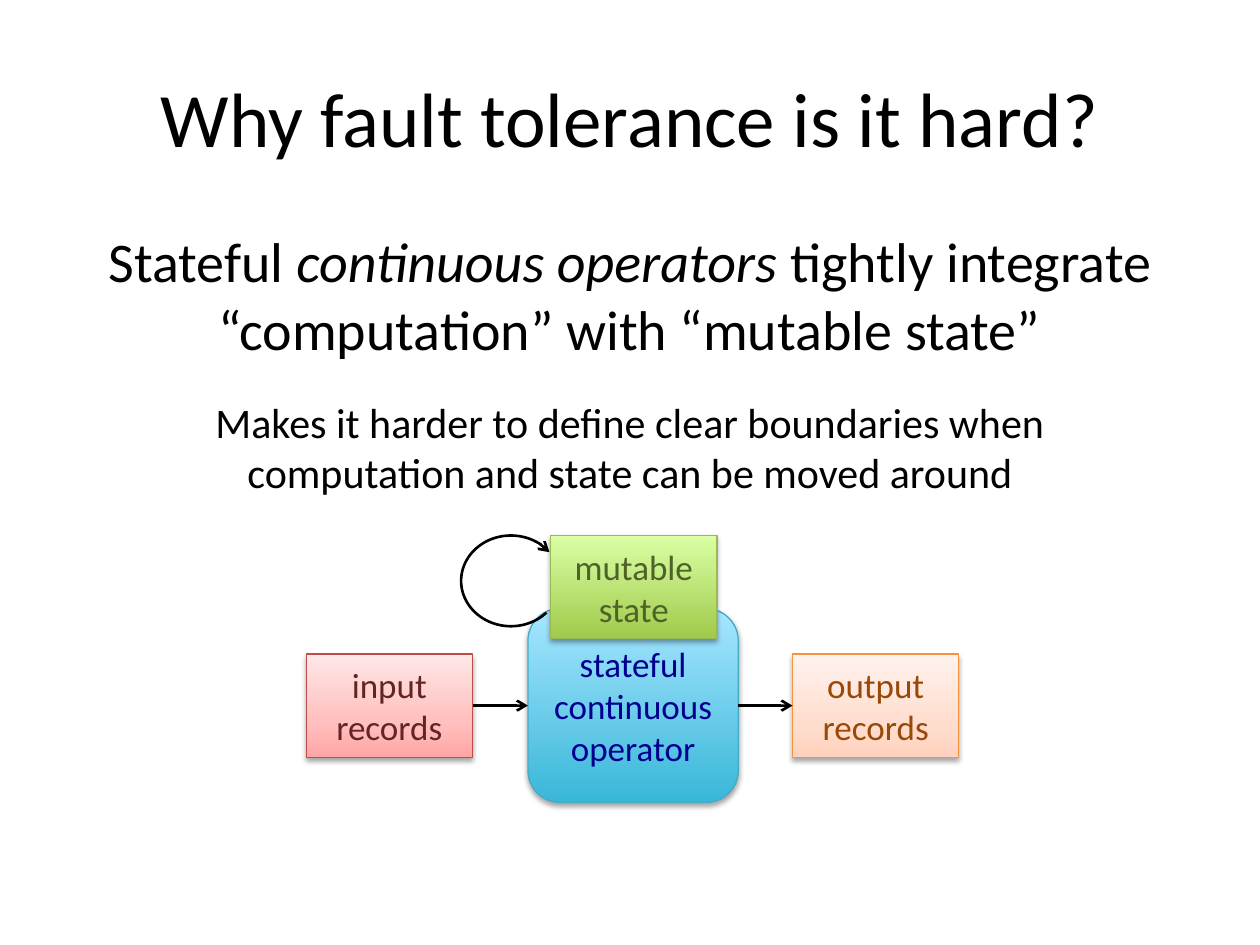
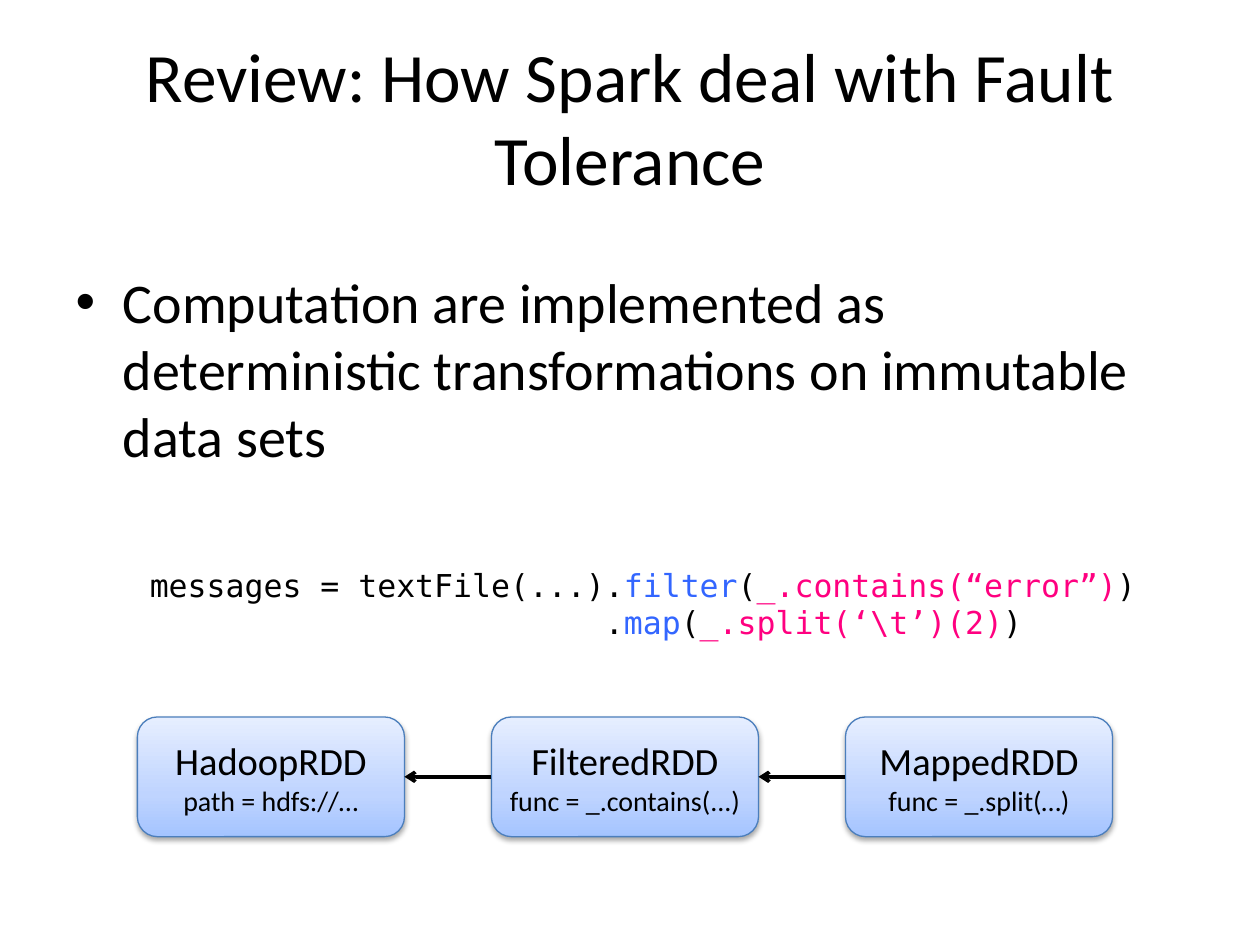
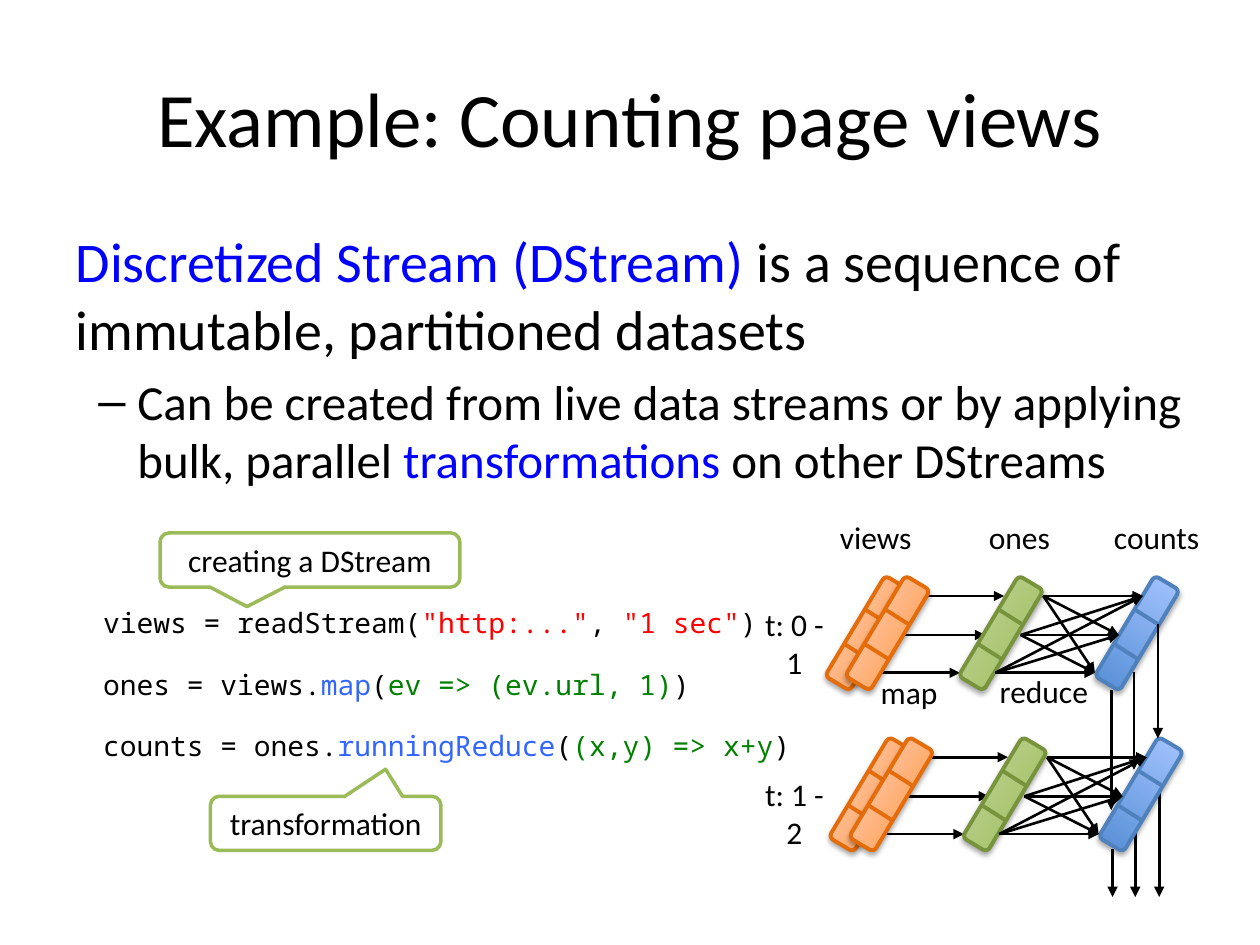
"""Build three slides on fault tolerance in stream processing."""
from itertools import product

from lxml import etree
from pptx import Presentation
from pptx.dml.color import RGBColor
from pptx.enum.shapes import MSO_CONNECTOR, MSO_SHAPE
from pptx.enum.text import MSO_AUTO_SIZE, PP_ALIGN
from pptx.oxml.ns import qn
from pptx.util import Inches, Pt

STRAIGHT = MSO_CONNECTOR.STRAIGHT
RECTANGLE = MSO_SHAPE.RECTANGLE
ROUNDED = MSO_SHAPE.ROUNDED_RECTANGLE
CALLOUT = MSO_SHAPE.ROUNDED_RECTANGULAR_CALLOUT
BAR = MSO_SHAPE.FLOWCHART_ALTERNATE_PROCESS
ARC = MSO_SHAPE.ARC
LEFT, CENTER = PP_ALIGN.LEFT, PP_ALIGN.CENTER
NO_AUTOFIT = MSO_AUTO_SIZE.NONE
TOP_SIDE, LEFT_SIDE, BOTTOM_SIDE, RIGHT_SIDE = range(4)

COLORS = {
    "black": "000000", "white": "FFFFFF", "term": "0000FF",
    "function": "3366FF", "argument": "FF0080", "string": "FF0000", "lambda": "008000",
    "operator text": "000090", "operator line": "46AAC5",
    "state text": "4F6228", "state line": "98B955",
    "input text": "632523", "input line": "BF4C48",
    "output text": "984807", "output line": "F69240",
    "rdd line": "4B7EBC", "callout line": "9BBB59",
    "views line": "E46C0A", "ones line": "77933C", "counts line": "4F81BD",
}
GRADIENTS = {
    "operator": {0: "39B7D8", 100: "A7E6FF"},
    "state": {0: "A0CA4A", 100: "DAFFA5"},
    "input": {0: "FFA6A5", 35: "FFC0BF", 100: "FFE7E7"},
    "output": {0: "FFD2BD", 35: "FFDED0", 100: "FFF2ED"},
    "rdd": {0: "A4C4FF", 35: "BFD4FF", 100: "E6EEFF"},
    "views": {0: "FF953E", 100: "FFD2BD"},
    "ones": {0: "9BBB59", 100: "C3D69B"},
    "counts": {0: "558ED5", 100: "A4C4FF"},
}


def write_text(frame, runs, size=18, color="black", font="Calibri", align=CENTER,
               before=0, level=0, margin=None, bullet=True):
    paragraph = frame.add_paragraph() if frame.text else frame.paragraphs[0]
    paragraph.alignment = align
    paragraph.level = level
    paragraph.space_before = Pt(before)
    properties = paragraph._p.get_or_add_pPr()
    if margin:
        properties.set("marL", str(Inches(margin[0])))
        properties.set("indent", str(Inches(margin[1])))
    if not bullet:
        etree.SubElement(properties, qn("a:buNone"))
    for text, run_color in [(runs, color)] if isinstance(runs, str) else runs:
        run = paragraph.add_run()
        run.text = text
        run.font.size = Pt(size)
        run.font.name = font
        run.font.color.rgb = RGBColor.from_string(COLORS[run_color])
    return paragraph


def style_shape(shape, line="black", width=1.5, gradient=None, angle=90, tail=None):
    shape.line.color.rgb = RGBColor.from_string(COLORS[line])
    shape.line.width = Pt(width)
    properties = shape._element.spPr
    if tail:
        etree.SubElement(properties.find(qn("a:ln")), qn("a:tailEnd"), type=tail)
    effects = etree.SubElement(properties, qn("a:effectLst"))
    if shape.has_text_frame:
        shape.text_frame.word_wrap = True
        shape.text_frame.margin_left = shape.text_frame.margin_right = 0
    if gradient:
        shape.fill.gradient()
        shape.fill.gradient_angle = angle
        stops = properties.find(".//" + qn("a:gsLst"))
        stops.clear()
        for position, value in GRADIENTS[gradient].items():
            stop = etree.SubElement(stops, qn("a:gs"), pos=str(position * 1000))
            etree.SubElement(stop, qn("a:srgbClr"), val=value)
        shadow = etree.SubElement(effects, qn("a:outerShdw"), blurRad=str(Pt(3.1)),
                                  dist=str(Pt(1.8)), dir="5400000", rotWithShape="0")
        shadow_color = etree.SubElement(shadow, qn("a:srgbClr"), val=COLORS["black"])
        etree.SubElement(shadow_color, qn("a:alpha"), val="35000")


presentation = Presentation()
presentation.slide_width, presentation.slide_height = Inches(10), Inches(7.5)

slides, bodies = [], []
for title, title_size, body_top, body_height in [
    ("Why fault tolerance is it hard?", 44, 1.75, 4.95),
    ("Review: How Spark deal with Fault Tolerance", 39.6, 2.07, 1.88),
    ("Example: Counting page views", 44, 1.75, 2.04),
]:
    slide = presentation.slides.add_slide(presentation.slide_layouts[1])
    title_shape, body = slide.shapes.title, slide.placeholders[1]
    for placeholder, top, height in [(title_shape, 0.3, 1.25), (body, body_top, body_height)]:
        placeholder.left, placeholder.top = Inches(0.5), Inches(top)
        placeholder.width, placeholder.height = Inches(9), Inches(height)
        placeholder.text_frame.auto_size = NO_AUTOFIT
    write_text(title_shape.text_frame, title, size=title_size)
    slides.append(slide)
    bodies.append(body.text_frame)
operator_slide, lineage_slide, stream_slide = slides
operator_body, lineage_body, stream_body = bodies

claim = write_text(operator_body, [
    ("Stateful ", "black"), ("continuous operators", "black"),
    (" tightly integrate “computation” with “mutable state”", "black"),
], size=32, margin=(0, 0), bullet=False)
claim.runs[1].font.italic = True
for text, before in [("Makes it harder to define clear boundaries when", 20),
                     ("computation and state can be moved around", 0)]:
    write_text(operator_body, text, size=24, before=before, margin=(0, 0), bullet=False)

boxes = {}
for name, kind, left, top, width, height, lines in [
    ("operator", ROUNDED, 4.19, 4.83, 1.67, 1.54, ["stateful", "continuous operator"]),
    ("state", RECTANGLE, 4.37, 4.25, 1.32, 0.82, ["mutable state"]),
    ("input", RECTANGLE, 2.43, 5.19, 1.32, 0.82, ["input", "records"]),
    ("output", RECTANGLE, 6.29, 5.19, 1.32, 0.82, ["output", "records"]),
]:
    box = operator_slide.shapes.add_shape(
        kind, Inches(left), Inches(top), Inches(width), Inches(height))
    style_shape(box, f"{name} line", 0.75, gradient=name)
    for line in lines:
        write_text(box.text_frame, line, size=20, color=f"{name} text")
    boxes[name] = box
for source, target in [("input", "operator"), ("operator", "output")]:
    arrow = operator_slide.shapes.add_connector(STRAIGHT, 0, 0, 0, 0)
    arrow.begin_connect(boxes[source], RIGHT_SIDE)
    arrow.end_connect(boxes[target], LEFT_SIDE)
    style_shape(arrow, tail="arrow")
update_loop = operator_slide.shapes.add_shape(
    ARC, Inches(3.66), Inches(4.25), Inches(0.79), Inches(0.72))
update_loop.adjustments[0], update_loop.adjustments[1] = 25.04, 194.06
update_loop.fill.background()
style_shape(update_loop, tail="arrow")

write_text(lineage_body, "Computation are implemented as deterministic transformations "
           "on immutable data sets", size=32, align=LEFT)
code = lineage_slide.shapes.add_textbox(Inches(1.09), Inches(4.44), Inches(8.28), Inches(1.01))
code.text_frame.word_wrap = True
for start, function, argument in [
    ("messages = textFile(...).", "filter", "_.contains(“error”)"),
    ("                        .", "map", "_.split(‘\\t’)(2)"),
]:
    write_text(code.text_frame, [
        (start, "black"), (function, "function"), ("(", "black"),
        (argument, "argument"), (")", "black"),
    ], font="DejaVu Sans Mono", align=LEFT)

datasets = []
for index, (name, detail) in enumerate([
    ("HadoopRDD", "path = hdfs://…"),
    ("FilteredRDD", "func = _.contains(...)"),
    ("MappedRDD", "func = _.split(…)"),
]):
    dataset = lineage_slide.shapes.add_shape(
        ROUNDED, Inches(1.09 + 2.81 * index), Inches(5.69), Inches(2.12), Inches(0.95))
    style_shape(dataset, "rdd line", 0.75, gradient="rdd")
    write_text(dataset.text_frame, name, size=22)
    write_text(dataset.text_frame, detail, size=16)
    datasets.append(dataset)
for parent, child in zip(datasets, datasets[1:]):
    arrow = lineage_slide.shapes.add_connector(STRAIGHT, 0, 0, 0, 0)
    arrow.begin_connect(child, LEFT_SIDE)
    arrow.end_connect(parent, RIGHT_SIDE)
    style_shape(arrow, width=2, tail="arrow")

write_text(stream_body, [
    ("Discretized Stream (DStream)", "term"),
    (" is a sequence of immutable, partitioned datasets", "black"),
], size=32, align=LEFT, margin=(0, 0), bullet=False)
write_text(stream_body, [
    ("Can be created from live data streams or by applying bulk, parallel ", "black"),
    ("transformations", "term"), (" on other DStreams", "black"),
], size=28, align=LEFT, before=5.6, level=1, margin=(0.49, -0.31))

code = stream_slide.shapes.add_textbox(Inches(0.72), Inches(4.76), Inches(6.36), Inches(1.39))
code.text_frame.word_wrap = True
for before, runs in [
    (0, [("views = readStream(", "black"), ('"http:..."', "string"), (", ", "black"),
         ('"1 sec"', "string"), (")", "black")]),
    (15.8, [("ones = views.", "black"), ("map", "function"), ("(", "black"),
            ("ev => (ev.url, 1)", "lambda"), (")", "black")]),
    (15.8, [("counts = ones.", "black"), ("runningReduce", "function"), ("(", "black"),
            ("(x,y) => x+y", "lambda"), (")", "black")]),
]:
    write_text(code.text_frame, runs, size=16, font="Noto Sans Mono", align=LEFT, before=before)

for text, left, top, width, tip_x, tip_y in [
    ("creating a DStream", 1.27, 4.23, 2.38, -0.21, 0.86),
    ("transformation", 1.67, 6.32, 1.83, 0.26, -1),
]:
    callout = stream_slide.shapes.add_shape(
        CALLOUT, Inches(left), Inches(top), Inches(width), Inches(0.43))
    callout.adjustments[0], callout.adjustments[1] = tip_x, tip_y
    callout.fill.solid()
    callout.fill.fore_color.rgb = RGBColor.from_string(COLORS["white"])
    style_shape(callout, "callout line", 2)
    write_text(callout.text_frame, text)

for text, left, top, width, wrap in [
    ("views", 6.56, 4.11, 0.78, False), ("ones", 7.74, 4.11, 0.7, False),
    ("counts", 8.73, 4.11, 0.9, False), ("map", 6.88, 5.34, 0.67, False),
    ("reduce", 7.83, 5.33, 0.91, False), ("t: 0 - 1", 5.89, 4.8, 0.83, True),
    ("t: 1 - 2", 5.89, 6.15, 0.83, True),
]:
    label = stream_slide.shapes.add_textbox(
        Inches(left), Inches(top), Inches(width), Inches(0.3))
    label.text_frame.margin_top = label.text_frame.margin_bottom = 0
    label.text_frame.word_wrap = wrap
    write_text(label.text_frame, text)

row_tops = [4.73, 5.04, 5.34]
map_arrows = [(start, top, end, top) for start, end, top in
              zip([7.18, 7.01, 6.84], [7.97, 7.82, 7.62], row_tops)]
reduce_arrows = [(start, start_top, end, end_top) for (start, start_top), (end, end_top) in
                 product(zip([8.28, 8.1, 7.9], row_tops), zip([9.07, 8.88, 8.69], row_tops))]
next_state_arrows = [(9, 5.33, 9, 6.11), (9.19, 4.95, 9.19, 5.86), (8.82, 5.48, 8.82, 6.43)]
final_state_arrows = [(x, top, x, 7.12) for x, top in [(9.01, 6.58), (9.2, 6.2), (8.83, 6.74)]]
batches = [(0, 0), (0.03, 1.28)]
layers = [((0, 0), [], final_state_arrows)]
for batch in batches:
    layers += [(batch, [("views", 6.42)], map_arrows),
               (batch, [("counts", 8.56), ("ones", 7.48)], reduce_arrows)]
layers.append(((0, 0), [], next_state_arrows))
layers += [(batch, [("views", 6.58)], []) for batch in batches]

for (shift_x, shift_y), bars, arrows in layers:
    for name, left in bars:
        bar_left, bar_top = left + shift_x, 4.91 + shift_y
        bar = stream_slide.shapes.add_shape(
            BAR, Inches(bar_left), Inches(bar_top), Inches(0.93), Inches(0.23))
        bar.rotation = 300.9
        style_shape(bar, f"{name} line", 2.25, name, 0 if name == "counts" else 90)
        for x, y in [(0.45, -0.07), (0.28, 0.2)]:
            divider = stream_slide.shapes.add_connector(
                STRAIGHT, Inches(bar_left + x), Inches(bar_top + y),
                Inches(bar_left + x + 0.19), Inches(bar_top + y + 0.12))
            style_shape(divider, f"{name} line", 2.25)
    for start_x, start_y, end_x, end_y in arrows:
        arrow = stream_slide.shapes.add_connector(
            STRAIGHT, Inches(start_x + shift_x), Inches(start_y + shift_y),
            Inches(end_x + shift_x), Inches(end_y + shift_y))
        style_shape(arrow, tail="triangle")

presentation.save("out.pptx")
